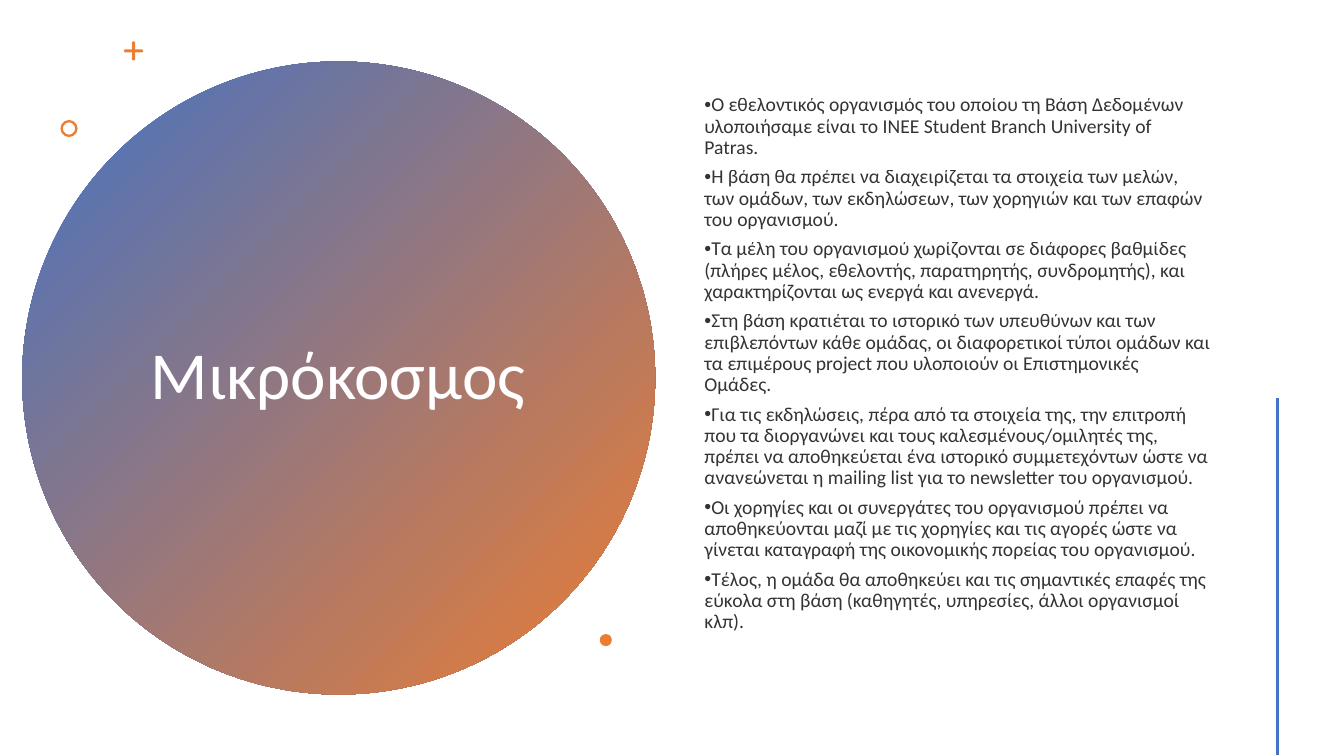
from dataclasses import dataclass
from math import cos, hypot, pi, radians, sin

from lxml.etree import SubElement
from pptx import Presentation
from pptx.dml.color import RGBColor as Rgb
from pptx.enum.shapes import MSO_CONNECTOR as Connector, MSO_SHAPE as Shape
from pptx.enum.text import MSO_ANCHOR as Anchor, PP_ALIGN as Align
from pptx.oxml.ns import qn
from pptx.util import Inches, Pt


@dataclass(frozen=True)
class Theme:
    blue: Rgb = Rgb(0x44, 0x72, 0xC4)
    orange: Rgb = Rgb(0xED, 0x7D, 0x31)
    white: Rgb = Rgb(0xFF, 0xFF, 0xFF)
    black: Rgb = Rgb(0, 0, 0)
    font: str = "Calibri"
    title_size: int = 48
    body_size: int = 14
    rule_width: int = 2


THEME = Theme()
COLUMNS, ROWS = 160, 90  # square cells, twelve to the inch

TITLE = "Μικρόκοσμος"
REQUIREMENTS = [
    "Ο εθελοντικός οργανισμός του οποίου τη Βάση Δεδομένων υλοποιήσαμε "
    "είναι το INEE Student Branch University of Patras.",
    "Η βάση θα πρέπει να διαχειρίζεται τα στοιχεία των μελών, των ομάδων, "
    "των εκδηλώσεων, των χορηγιών και των επαφών του οργανισμού.",
    "Τα μέλη του οργανισμού χωρίζονται σε διάφορες βαθμίδες (πλήρες μέλος, "
    "εθελοντής, παρατηρητής, συνδρομητής), και χαρακτηρίζονται ως ενεργά και ανενεργά.",
    "Στη βάση κρατιέται το ιστορικό των υπευθύνων και των επιβλεπόντων κάθε ομάδας, "
    "οι διαφορετικοί τύποι ομάδων και τα επιμέρους project που υλοποιούν "
    "οι Επιστημονικές Ομάδες.",
    "Για τις εκδηλώσεις, πέρα από τα στοιχεία της, την επιτροπή που τα διοργανώνει "
    "και τους καλεσμένους/ομιλητές της, πρέπει να αποθηκεύεται ένα ιστορικό "
    "συμμετεχόντων ώστε να ανανεώνεται η mailing list για το newsletter του οργανισμού.",
    "Οι χορηγίες και οι συνεργάτες του οργανισμού πρέπει να αποθηκεύονται μαζί με "
    "τις χορηγίες και τις αγορές ώστε να γίνεται καταγραφή της οικονομικής πορείας "
    "του οργανισμού.",
    "Τέλος, η ομάδα θα αποθηκεύει και τις σημαντικές επαφές της εύκολα στη βάση "
    "(καθηγητές, υπηρεσίες, άλλοι οργανισμοί κλπ).",
]


def cells(*counts):
    return [Inches(count / 12) for count in counts]


def add_round(slide, preset, column, row, size):
    """Add a borderless round shape; its fill is orange unless changed."""
    shape = slide.shapes.add_shape(preset, *cells(column, row, size, size))
    shape.shadow.inherit = False
    shape.line.fill.background()
    shape.fill.solid()
    shape.fill.fore_color.rgb = THEME.orange
    return shape


def add_gradient_disc(slide, column, row, size):
    fill = add_round(slide, Shape.OVAL, column, row, size).fill
    fill.gradient()
    fill.gradient_angle = 315
    for stop, color in zip(fill.gradient_stops, (THEME.blue, THEME.orange)):
        stop.color.rgb = color


def add_rounded_plus(slide, column, row, size, radius):
    """Draw a plus around a centre cell, with a half-round cap on each arm."""
    def point(distance, angle):
        return cells(column + distance * cos(angle), row + distance * sin(angle))

    reach = size / 2 - radius
    outline = []
    for arm in (0, 90, 180, 270):
        for turn in range(-90, 91, 15):
            along = reach + radius * cos(radians(turn))
            across = radius * sin(radians(turn))
            outline.append(point(hypot(along, across),
                                 radians(arm) + across / along))
        outline.append(point(radius * 2 ** 0.5, radians(arm) + pi / 4))
    builder = slide.shapes.build_freeform(*outline[0], scale=1.0)
    builder.add_line_segments(outline[1:], close=True)
    plus = builder.convert_to_shape()
    plus.shadow.inherit = False
    plus.line.fill.background()
    plus.fill.solid()
    plus.fill.fore_color.rgb = THEME.orange


def add_rule(slide, column, top, bottom):
    rule = slide.shapes.add_connector(
        Connector.STRAIGHT, *cells(column, top, column, bottom))
    rule.line.color.rgb = THEME.blue
    rule.line.width = Pt(THEME.rule_width)
    SubElement(rule._element.spPr, qn("a:effectLst"))


def add_bullet(paragraph):
    properties = paragraph._p.get_or_add_pPr()
    properties.set("marL", "0")
    properties.set("indent", str(-Inches(0.25)))
    SubElement(properties, qn("a:buFont"), typeface="Arial")
    SubElement(properties, qn("a:buChar"), char="•")


def add_text(slide, box, paragraphs, *, size, color, align=Align.LEFT,
             bulleted=False, opacity=100, bottom_inset=0.05):
    frame = slide.shapes.add_textbox(*cells(*box)).text_frame
    frame.word_wrap = True
    frame.vertical_anchor = Anchor.MIDDLE
    frame.margin_bottom = Inches(bottom_inset)
    frame.text = "\n".join(paragraphs)
    for paragraph in frame.paragraphs:
        paragraph.alignment = align
        paragraph.line_spacing = 0.9
        paragraph.space_after = Pt(6)
        if bulleted:
            add_bullet(paragraph)
        for run in paragraph.runs:
            run.font.name = THEME.font
            run.font.size = Pt(size)
            run.font.color.rgb = color
            if opacity < 100:
                tint = run._r.rPr.find(".//" + qn("a:srgbClr"))
                SubElement(tint, qn("a:alpha"), val=str(opacity * 1000))


def main():
    deck = Presentation()
    deck.slide_width, deck.slide_height = cells(COLUMNS, ROWS)
    slide = deck.slides.add_slide(deck.slide_layouts[6])

    # Title disc
    add_gradient_disc(slide, 2.64, 7.32, 75.36)
    add_text(slide, (16.32, 16.92, 47.88, 56.04), [TITLE],
             size=THEME.title_size, color=THEME.white, align=Align.CENTER)

    # Accents around the disc
    add_rounded_plus(slide, 15.9, 6.06, 2.28, 0.18)
    ring = add_round(slide, Shape.DONUT, 7.2, 14.28, 2.04)
    ring.adjustments[0] = 0.14
    add_round(slide, Shape.OVAL, 71.4, 75.48, 1.44)

    # Requirements and side rule
    add_text(slide, (82.68, 6.84, 62.64, 76.56), REQUIREMENTS,
             size=THEME.body_size, color=THEME.black, bulleted=True,
             opacity=80, bottom_inset=0.35)
    add_rule(slide, 152.04, 47.4, 89.88)

    deck.save("out.pptx")


main()
